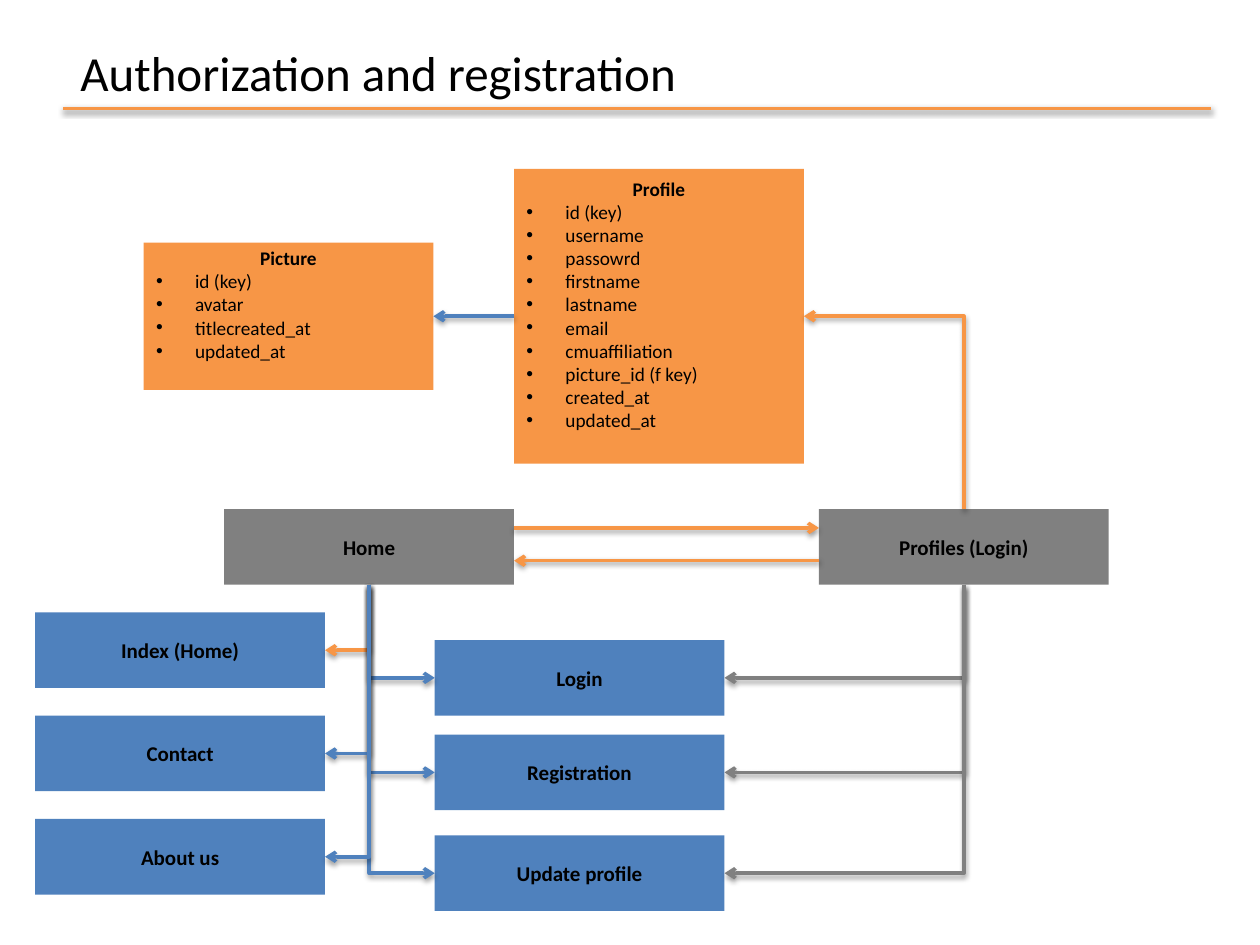
from lxml import etree
from pptx import Presentation
from pptx import util as u
from pptx.dml.color import RGBColor
from pptx.enum import shapes, text
from pptx.oxml.ns import qn

COLS, ROWS = 10, 7.5
ORANGE, BLUE, GRAY, BLACK = "F79646", "4F81BD", "808080", "000000"
TOP, LEFT, BOTTOM, RIGHT = range(4)
BOX_W, BOX_H = 2.3, 0.6

prs = Presentation()
prs.slide_width, prs.slide_height = u.Inches(COLS), u.Inches(ROWS)
COL, ROW = prs.slide_width / COLS, prs.slide_height / ROWS


def grid(x, y):
    return round(x * COL), round(y * ROW)


def color(value):
    return RGBColor.from_string(value)


def sub(parent, tag, **attrs):
    return etree.SubElement(parent, qn(tag), {k: str(v) for k, v in attrs.items()})


def style(p, size, bold=False, align=None):
    p.font.name, p.font.size, p.font.bold = "Calibri", u.Pt(size), bold
    p.font.color.rgb = color(BLACK)
    p.alignment = align


def box(s, x, y, w, h, fill):
    sp = s.shapes.add_shape(shapes.MSO_SHAPE.RECTANGLE, *grid(x, y), *grid(w, h))
    sp.shadow.inherit = False
    sp.fill.solid()
    sp.fill.fore_color.rgb = color(fill)
    sp.line.fill.background()
    sp.text_frame.word_wrap = True
    sp.text_frame.vertical_anchor = text.MSO_ANCHOR.MIDDLE
    return sp


def page(s, x, y, label, fill):
    sp = box(s, x, y, BOX_W, BOX_H, fill)
    p = sp.text_frame.paragraphs[0]
    p.text = label
    style(p, 12, True, text.PP_ALIGN.CENTER)
    return sp


def entity(s, x, y, h, name, fields):
    sp = box(s, x, y, BOX_W, h, ORANGE)
    tf = sp.text_frame
    tf.margin_bottom = u.Inches(0.24)
    tf.text = "\n".join([name] + fields)
    style(tf.paragraphs[0], 11, True, text.PP_ALIGN.CENTER)
    for p in tf.paragraphs[1:]:
        style(p, 11, align=text.PP_ALIGN.LEFT)
        pPr = p._p.get_or_add_pPr()
        pPr.set("marL", str(u.Inches(0.31)))
        pPr.set("indent", str(-u.Inches(0.31)))
        sub(pPr, "a:buFont", typeface="Arial")
        sub(pPr, "a:buChar", char="•")
    return sp


def line(s, start, end, hue, arrow=True, kind=shapes.MSO_CONNECTOR.STRAIGHT):
    cn = s.shapes.add_connector(kind, *start, *end)
    cn.line.color.rgb = color(hue)
    cn.line.width = u.Pt(2)
    spPr = cn.element.spPr
    if arrow:
        sub(spPr.find(qn("a:ln")), "a:tailEnd", type="arrow")
    shadow = sub(sub(spPr, "a:effectLst"), "a:outerShdw", blurRad=u.Pt(3.1),
                 dist=u.Pt(1.6), dir=5400000, rotWithShape=0)
    sub(sub(shadow, "a:srgbClr", val=BLACK), "a:alpha", val=38000)
    return cn


def side(sp, site):
    dx, dy = [(0.5, 0), (0, 0.5), (0.5, 1), (1, 0.5)][site]
    return round(sp.left + sp.width * dx), round(sp.top + sp.height * dy)


def join(s, a, a_site, b, b_site, hue, kind=shapes.MSO_CONNECTOR.STRAIGHT):
    cn = line(s, side(a, a_site), side(b, b_site), hue, kind=kind)
    cn.begin_connect(a, a_site)
    cn.end_connect(b, b_site)
    return cn


def elbow(s, a, a_site, b, b_site, hue):
    """One bend: leave a vertically, reach b horizontally."""
    cn = join(s, a, a_site, b, b_site, hue, shapes.MSO_CONNECTOR.ELBOW)
    (x1, y1), (x2, y2) = side(a, a_site), side(b, b_site)
    w, h = abs(y2 - y1), abs(x2 - x1)
    cn.left, cn.top = (x1 + x2 - w) // 2, (y1 + y2 - h) // 2
    cn.width, cn.height = w, h
    spPr = cn.element.spPr
    spPr.find(qn("a:prstGeom")).set("prst", "bentConnector2")
    xfrm = spPr.find(qn("a:xfrm"))
    for name in ("flipH", "flipV"):
        xfrm.attrib.pop(name, None)
    down, left = y2 > y1, x2 < x1
    xfrm.set("rot", str((90 if down and left else 270) * 60000))
    if down != left:
        xfrm.set("flipH" if down else "flipV", "1")


def heading(s, x, y, w, h):
    sp = s.shapes.add_textbox(*grid(x + 0.04, y), *grid(5.01, h))
    tf = sp.text_frame
    tf.word_wrap = False
    tf.auto_size = text.MSO_AUTO_SIZE.SHAPE_TO_FIT_TEXT
    p = tf.paragraphs[0]
    p.text = "Authorization and registration"
    style(p, 28)
    line(s, grid(x, y + h), grid(x + w, y + h), ORANGE, arrow=False)


def models(s, x, y, h):
    """Data models, centred on one axis."""
    profile = entity(s, x + 2.94, y, h, "Profile", [
        "id (key)", "username", "passowrd", "firstname", "lastname", "email",
        "cmuaffiliation", "picture_id (f key)", "created_at", "updated_at"])
    picture = entity(s, x, y + h / 4, h / 2, "Picture", [
        "id (key)", "avatar", "titlecreated_at", "updated_at"])
    join(s, profile, LEFT, picture, RIGHT, BLUE)
    return profile


def controllers(s, x, y, w):
    """Home and Profiles with the two arrows between them."""
    home = page(s, x, y, "Home", GRAY)
    login = page(s, x + w - BOX_W, y, "Profiles (Login)", GRAY)
    x1, x2 = x + BOX_W, x + w - BOX_W
    line(s, grid(x1, y + 0.15), grid(x2, y + 0.15), ORANGE)
    line(s, grid(x2, y + 0.41), grid(x1, y + 0.41), ORANGE)
    return home, login


def views(s, x, y, home, login):
    """Two columns of pages, linked from the controllers."""
    left = [page(s, x, y + 0.82 * i, label, BLUE)
            for i, label in enumerate(["Index (Home)", "Contact", "About us"])]
    right = [page(s, x + 3.17, y + dy, label, BLUE) for dy, label in
             [(0.22, "Login"), (0.97, "Registration"), (1.77, "Update profile")]]
    elbow(s, home, BOTTOM, left[0], RIGHT, ORANGE)
    for sp in right:
        elbow(s, home, BOTTOM, sp, LEFT, BLUE)
        elbow(s, login, BOTTOM, sp, RIGHT, GRAY)
    for sp in left[1:]:
        elbow(s, home, BOTTOM, sp, RIGHT, BLUE)


def main():
    s = prs.slides.add_slide(prs.slide_layouts[6])
    heading(s, 0.5, 0.29, 9.11, 0.57)
    profile = models(s, 1.14, 1.34, 2.34)
    home, login = controllers(s, 1.78, 4.04, 7.02)
    elbow(s, login, TOP, profile, RIGHT, ORANGE)
    views(s, 0.28, 4.86, home, login)
    prs.save("out.pptx")


if __name__ == "__main__":
    main()
